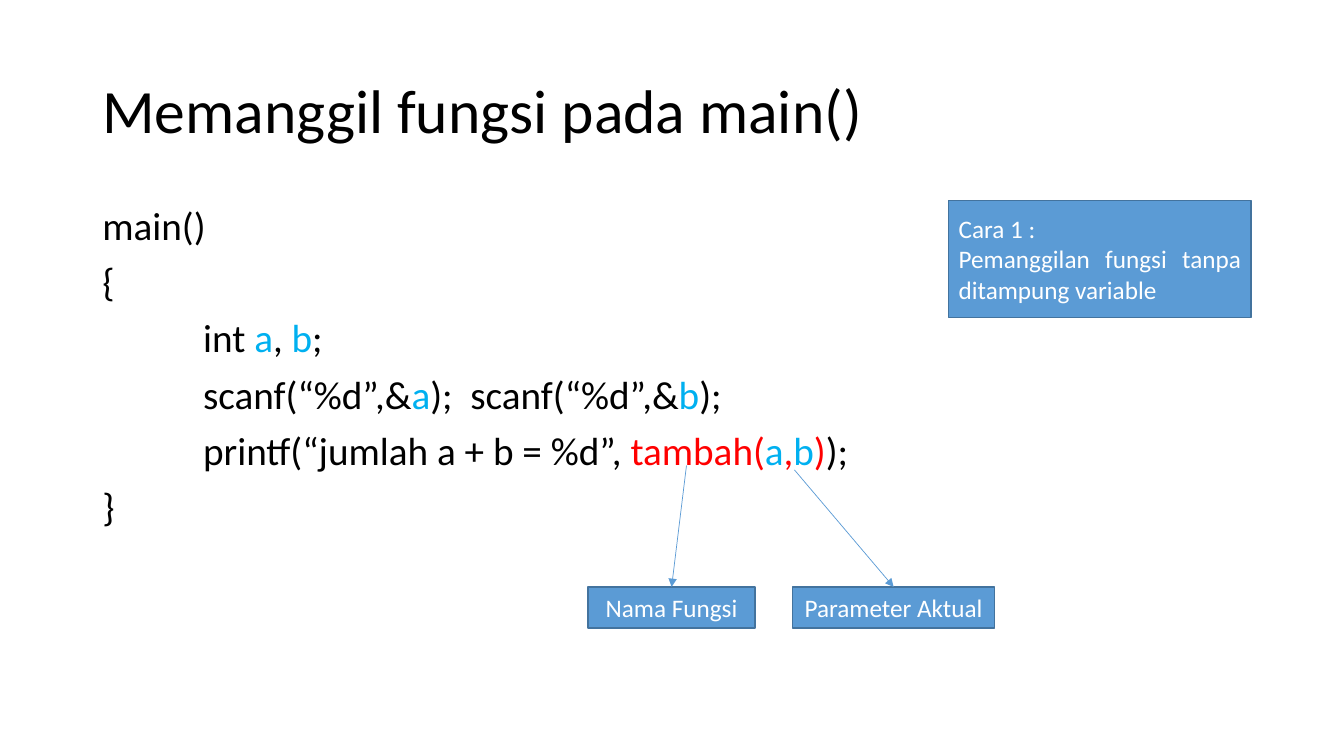
import pptx
import pptx.util
import pptx.dml.color
import pptx.enum.shapes
import pptx.enum.text
import pptx.oxml.ns
import lxml.etree

Cm, Pt = pptx.util.Cm, pptx.util.Pt
ALIGN = pptx.enum.text.PP_ALIGN
ANCHOR = pptx.enum.text.MSO_ANCHOR
BLACK, WHITE, CYAN, RED = "000000", "FFFFFF", "00B0F0", "FF0000"
BLUE, EDGE = "5B9BD5", "43739E"
qn = pptx.oxml.ns.qn


def rgb(value):
    """Turn a hex string into a colour."""
    return pptx.dml.color.RGBColor.from_string(value)


class Deck:
    """Hold the style and the current slide."""

    font = "Calibri"
    tab = Cm(2.54)

    def __init__(self, prs):
        """Add a blank slide to the presentation."""
        self.s = prs.slides.add_slide(prs.slide_layouts[6])

    def fill_text(self, tf, paragraphs, size, aligns, anchor):
        """Write paragraphs made of (text, colour) runs."""
        tf.word_wrap = True
        tf.vertical_anchor = anchor
        for i, (runs, align) in enumerate(zip(paragraphs, aligns)):
            p = tf.paragraphs[0] if i == 0 else tf.add_paragraph()
            p.alignment = align
            for text, colour in runs:
                r = p.add_run()
                r.text = text
                r.font.name = self.font
                r.font.size = Pt(size)
                r.font.color.rgb = rgb(colour)

    def text(self, x, y, w, h, paragraphs, size, anchor=ANCHOR.TOP, before=0):
        """Add a left-aligned text box with tight lines and a tab stop."""
        tf = self.s.shapes.add_textbox(Cm(x), Cm(y), Cm(w), Cm(h)).text_frame
        self.fill_text(tf, paragraphs, size, [ALIGN.LEFT] * len(paragraphs), anchor)
        for p in tf.paragraphs:
            p.line_spacing = 0.9
            p.space_before = Pt(before)
            tabs = lxml.etree.SubElement(p._p.get_or_add_pPr(), qn("a:tabLst"))
            lxml.etree.SubElement(tabs, qn("a:tab"), pos=str(int(self.tab)), algn="l")

    def box(self, x, y, w, h, lines, aligns):
        """Add a blue rectangle with white text."""
        sp = self.s.shapes.add_shape(
            pptx.enum.shapes.MSO_SHAPE.RECTANGLE, Cm(x), Cm(y), Cm(w), Cm(h))
        sp.shadow.inherit = False
        sp.fill.solid()
        sp.fill.fore_color.rgb = rgb(BLUE)
        sp.line.color.rgb = rgb(EDGE)
        sp.line.width = Pt(1)
        paragraphs = [[(line, WHITE)] for line in lines]
        self.fill_text(sp.text_frame, paragraphs, 18, aligns, ANCHOR.MIDDLE)

    def arrow(self, x1, y1, x2, y2):
        """Add a thin line that ends in an arrowhead."""
        c = self.s.shapes.add_connector(
            pptx.enum.shapes.MSO_CONNECTOR.STRAIGHT, Cm(x1), Cm(y1), Cm(x2), Cm(y2))
        c.line.color.rgb = rgb(BLUE)
        c.line.width = Pt(0.5)
        pr = c._element.spPr
        lxml.etree.SubElement(pr.find(qn("a:ln")), qn("a:tailEnd"), type="triangle")
        lxml.etree.SubElement(pr, qn("a:effectLst"))


prs = pptx.Presentation()
prs.slide_width, prs.slide_height = Cm(33.87), Cm(19.05)
deck = Deck(prs)

code = [
    [("main()", BLACK)],
    [("{", BLACK)],
    [("\tint ", BLACK), ("a", CYAN), (", ", BLACK), ("b", CYAN), (";", BLACK)],
    [("\tscanf(“%d”,&", BLACK), ("a", CYAN), (");  scanf(“%d”,&", BLACK),
     ("b", CYAN), (");", BLACK)],
    [("\tprintf(“jumlah a + b = %d”, ", BLACK), ("tambah(", RED), ("a", CYAN),
     (",", RED), ("b", CYAN), (")", RED), (");", BLACK)],
    [("}", BLACK)],
]
deck.text(2.33, 1.01, 29.21, 3.68, [[("Memanggil fungsi pada main()", BLACK)]],
          44, ANCHOR.MIDDLE)
deck.text(2.33, 5.07, 29.21, 12.09, code, 28, before=10)

label_y, label_h = 14.79, 1.04
labels = [
    ("Parameter Aktual", 19.98, 5.08, 20.02, 11.84),
    ("Nama Fungsi", 14.82, 4.21, 17.3, 11.73),
]
for name, x, w, from_x, from_y in labels:
    deck.box(x, label_y, w, label_h, [name], [ALIGN.CENTER])
    deck.arrow(from_x, from_y, x + w / 2, label_y)

deck.box(23.91, 5.05, 7.62, 2.95,
         ["Cara 1 :", "Pemanggilan fungsi tanpa ditampung variable"],
         [ALIGN.LEFT, ALIGN.JUSTIFY])

prs.save("out.pptx")
